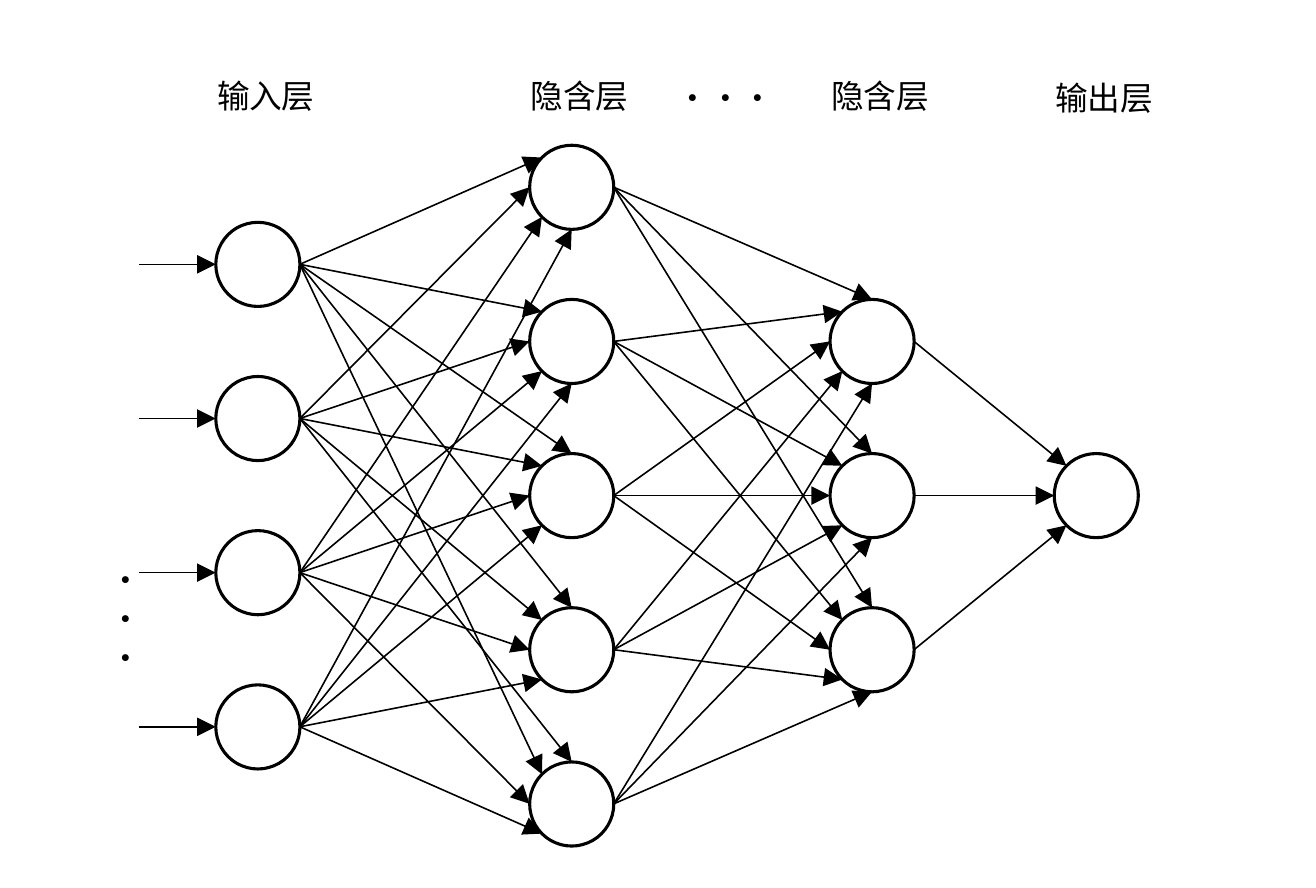
from math import cos, radians, sin

from lxml import etree
from pptx import Presentation
from pptx.dml.color import RGBColor
from pptx.enum.lang import MSO_LANGUAGE_ID as Language
from pptx.enum.shapes import MSO_CONNECTOR as Connector, MSO_SHAPE as Shape
from pptx.oxml.ns import qn
from pptx.util import Inches, Pt

COLORS = {"ink": "000000", "node": "FFFFFF"}
FONT = "Noto Sans CJK SC"
DIAMETER = 3 / 8
RADIUS = DIAMETER / 2
PITCH = 2.75 / 4
MIDDLE = 2.21

# Layers: centre x and number of neurons
LAYERS = [(1.15, 4), (2.55, 5), (3.89, 3), (4.89, 1)]

# Points on a neuron where arrows end, as angles from its centre
PORTS = {"T": 270, "TL": 225, "L": 180, "BL": 135, "B": 90}

# For each gap between layers: one row per source, one port per target
LINKS = [
    ["TL TL T T TL", "L L TL TL T", "BL BL L L L", "B B BL BL BL"],
    ["T T T", "TL TL TL", "L L L", "BL BL BL", "B B B"],
    ["TL", "L", "BL"],
]

# Texts: left, top, width, height, lines
TEXTS = [
    (0.87, 0.29, 0.64, 0.28, ["输入层"]),
    (2.27, 0.29, 0.64, 0.28, ["隐含层"]),
    (3.61, 0.29, 0.64, 0.28, ["隐含层"]),
    (4.61, 0.3, 0.64, 0.28, ["输出层"]),
    (2.92, 0.3, 0.64, 0.28, ["···"]),
    (0.39, 2.45, 0.31, 0.63, ["·"] * 3),
]

deck = Presentation()
deck.slide_width, deck.slide_height = Inches(5.87), Inches(3.96)
page = deck.slides.add_slide(deck.slide_layouts[6])


def add_arrow(x1, y1, x2, y2):
    arrow = page.shapes.add_connector(
        Connector.STRAIGHT, Inches(x1), Inches(y1), Inches(x2), Inches(y2))
    arrow.line.width = Pt(0.5)
    arrow.line.color.rgb = RGBColor.from_string(COLORS["ink"])
    etree.SubElement(arrow.line._get_or_add_ln(), qn("a:tailEnd"), type="triangle")
    etree.SubElement(arrow._element.spPr, qn("a:effectLst"))


# Neurons, each layer centred on the same height
centres = [[(x, MIDDLE + (row - (count - 1) / 2) * PITCH) for row in range(count)]
           for x, count in LAYERS]
for layer in centres:
    for x, y in layer:
        neuron = page.shapes.add_shape(
            Shape.OVAL, Inches(x - RADIUS), Inches(y - RADIUS),
            Inches(DIAMETER), Inches(DIAMETER))
        neuron.shadow.inherit = False
        neuron.fill.solid()
        neuron.fill.fore_color.rgb = RGBColor.from_string(COLORS["node"])
        neuron.line.color.rgb = RGBColor.from_string(COLORS["ink"])
        neuron.line.width = Pt(1)

# Arrows between neighbouring layers
for sources, targets, rows in zip(centres, centres[1:], LINKS):
    for (x1, y1), row in zip(sources, rows):
        for (x2, y2), port in zip(targets, row.split()):
            angle = radians(PORTS[port])
            add_arrow(x1 + RADIUS, y1,
                      x2 + RADIUS * cos(angle), y2 + RADIUS * sin(angle))

# Arrows into the input layer
for x, y in centres[0]:
    add_arrow(0.62, y, x - RADIUS, y)

# Layer names and dots
text_format = {"name": FONT, "size": Pt(10.5),
               "language_id": Language.SIMPLIFIED_CHINESE}
for left, top, width, height, lines in TEXTS:
    box = page.shapes.add_textbox(
        Inches(left), Inches(top), Inches(width), Inches(height))
    frame = box.text_frame
    frame.word_wrap = len(lines) > 1
    frame.text = "\n".join(lines)
    for para in frame.paragraphs:
        para.line_spacing = Pt(12.5)
        span = para.runs[0]
        for key, value in text_format.items():
            setattr(span.font, key, value)
        span.font.color.rgb = RGBColor.from_string(COLORS["ink"])
        etree.SubElement(span.font._element, qn("a:ea"), typeface=FONT)

deck.save("out.pptx")
